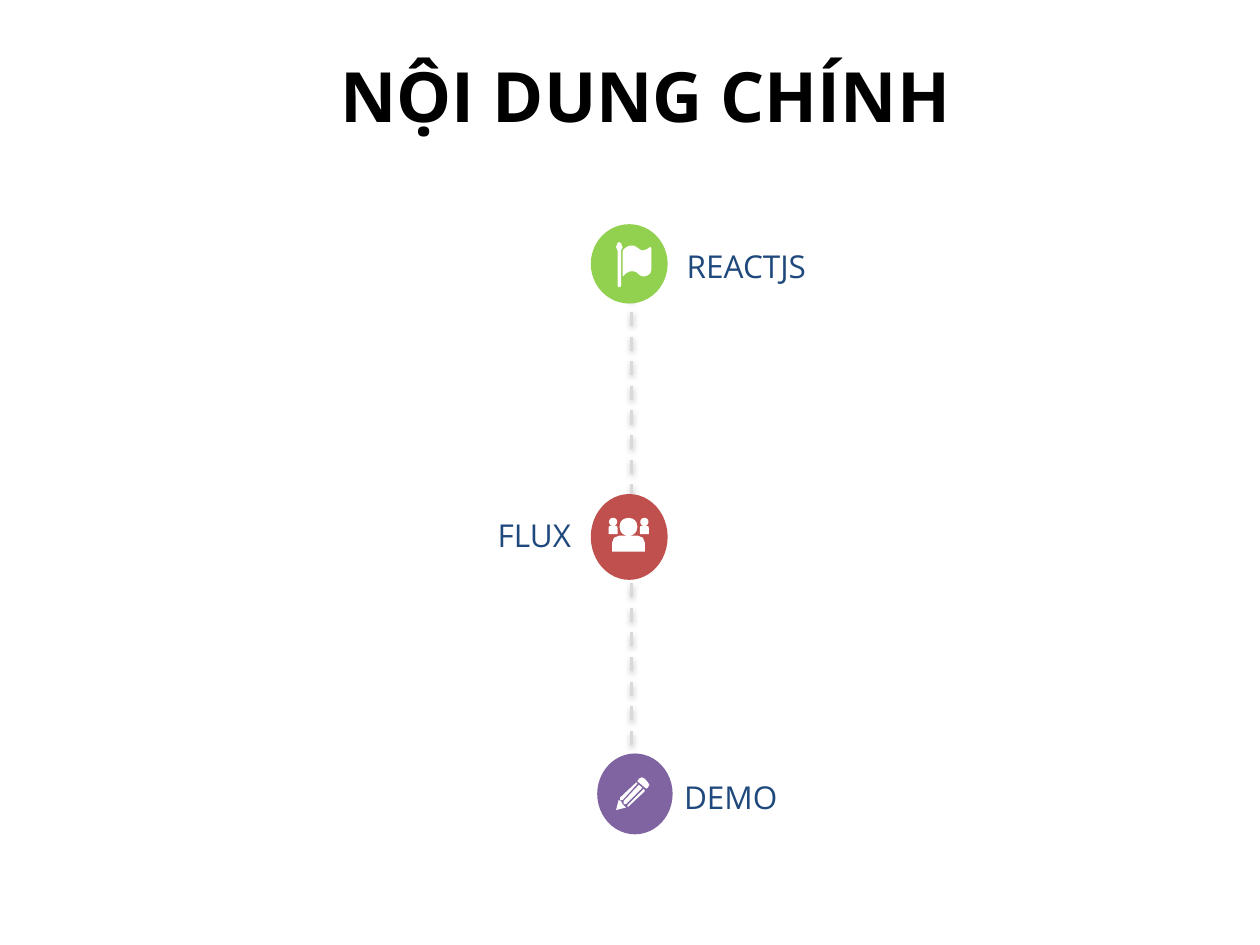
import math

from lxml import etree
from pptx import Presentation
from pptx import util as u
from pptx.dml.color import RGBColor
from pptx.enum import dml, shapes, text
from pptx.oxml.ns import qn

FONT = "Open Sans"
NAVY = "1F497D"
WHITE = "FFFFFF"
UNIT = u.Cm(0.01)

FLAG = [
    [(1255, 498), (1252, 505), (1252, 577), (1250, 579), (1247, 579),
     (1245, 577), (1245, 505), (1242, 498), (1245, 490), (1248, 488),
     (1252, 490)],
    [(1311, 498), (1313, 500), (1313, 544), (1311, 551), (1306, 555),
     (1300, 557), (1295, 557), (1290, 555), (1283, 549), (1278, 547),
     (1270, 547), (1262, 551), (1257, 556), (1255, 556), (1255, 507),
     (1257, 503), (1263, 498), (1270, 495), (1278, 495), (1283, 498),
     (1290, 503), (1295, 505), (1300, 504), (1306, 501)],
]
PENCIL = [
    [(1306, 1588), (1303, 1590), (1285, 1575), (1288, 1570), (1294, 1567),
     (1300, 1570), (1306, 1577), (1309, 1582)],
    [(1265, 1623), (1265, 1626), (1267, 1626), (1300, 1595), (1298, 1590)],
    [(1250, 1608), (1250, 1613), (1255, 1613), (1285, 1580), (1283, 1577)],
    [(1288, 1582), (1257, 1615), (1257, 1621), (1262, 1621), (1295, 1588)],
    [(1262, 1628), (1260, 1626), (1255, 1621), (1252, 1615), (1247, 1613),
     (1242, 1633)],
]


def color(value):
    return RGBColor.from_string(value)


def paint(shape, fill):
    shape.shadow.inherit = False
    shape.fill.solid()
    shape.fill.fore_color.rgb = color(fill)
    shape.line.fill.background()


def place(shape, left, top, width, height):
    shape.left, shape.top = u.Cm(left), u.Cm(top)
    shape.width, shape.height = u.Cm(width), u.Cm(height)


def write(shape, words, size, ink, align, bold=False):
    frame = shape.text_frame
    frame.word_wrap = True
    frame.text = words
    paragraph = frame.paragraphs[0]
    paragraph.alignment = align
    font = paragraph.font
    font.name, font.size, font.bold = FONT, u.Pt(size), bold
    font.color.rgb = color(ink)
    return paragraph


def add_label(shape, words, box, align=text.PP_ALIGN.LEFT):
    place(shape, *box)
    paragraph = write(shape, words, 18, NAVY, align)
    paragraph.line_spacing = 1.1
    paragraph.space_before = u.Pt(3.6)
    shape.text_frame.vertical_anchor = text.MSO_ANCHOR.TOP
    shape.text_frame.auto_size = text.MSO_AUTO_SIZE.SHAPE_TO_FIT_TEXT


def add_text_box(slide, words, box, align=text.PP_ALIGN.LEFT):
    shape = slide.shapes.add_textbox(0, 0, 0, 0)
    add_label(shape, words, box, align)


def add_timeline(slide, x, top, bottom):
    line = slide.shapes.add_connector(
        shapes.MSO_CONNECTOR.STRAIGHT, u.Cm(x), u.Cm(top), u.Cm(x), u.Cm(bottom))
    line.line.color.rgb = color("D9D9D9")
    line.line.width = u.Pt(2)
    line.line.dash_style = dml.MSO_LINE.DASH
    effects = etree.SubElement(line._element.spPr, qn("a:effectLst"))
    shadow = etree.SubElement(
        effects, qn("a:outerShdw"), blurRad=str(u.Pt(3.1)),
        dist=str(u.Pt(1.6)), dir="5400000", rotWithShape="0")
    tint = etree.SubElement(shadow, qn("a:srgbClr"), val="808080")
    etree.SubElement(tint, qn("a:alpha"), val="38000")


def add_icon(slide, contours):
    builder = slide.shapes.build_freeform(*contours[0][0], scale=UNIT)
    for index, contour in enumerate(contours):
        if index:
            builder.move_to(*contour[0])
        builder.add_line_segments(contour[1:], close=True)
    paint(builder.convert_to_shape(), WHITE)


def add_milestone(slide, box, fill, contours):
    circle = slide.shapes.add_shape(
        shapes.MSO_SHAPE.OVAL, *(u.Cm(length) for length in box))
    paint(circle, fill)
    add_icon(slide, contours)


def person(x, top, radius, half_width, bottom, corner):
    turns = [2 * math.pi * step / 24 for step in range(24)]
    head = [(round(x + radius * math.cos(turn)),
             round(top + radius + radius * math.sin(turn))) for turn in turns]
    neck = top + 2 * radius
    left, right = x - half_width, x + half_width
    bend = round(corner * 0.3)
    body = [(left, bottom), (left, neck + corner), (left + bend, neck + bend),
            (left + corner, neck), (right - corner, neck),
            (right - bend, neck + bend), (right, neck + corner),
            (right, bottom)]
    return [head, body]


def main():
    presentation = Presentation()
    presentation.slide_width, presentation.slide_height = u.Cm(25.4), u.Cm(19.05)
    slide = presentation.slides.add_slide(presentation.slide_layouts[0])
    title, first_label = slide.placeholders

    place(title, 1.9, 0.96, 22.23, 1.91)
    write(title, "NỘI DUNG CHÍNH", 39.6, "000000", text.PP_ALIGN.CENTER, True)
    title.text_frame.vertical_anchor = text.MSO_ANCHOR.MIDDLE
    title.text_frame.auto_size = text.MSO_AUTO_SIZE.NONE
    add_label(first_label, "REACTJS", (13.59, 4.78, 10.11, 1.04))

    people = (person(1236, 1044, 8, 9, 1077, 4)
              + person(1267, 1044, 18, 33, 1112, 14)
              + person(1299, 1044, 8, 9, 1077, 4))
    add_timeline(slide, 12.73, 5.79, 16.69)
    add_milestone(slide, (11.91, 4.52, 1.55, 1.6), "92D050", FLAG)
    add_milestone(slide, (11.91, 9.96, 1.55, 1.73), "C0504D", people)
    add_milestone(slide, (12.04, 15.19, 1.52, 1.63), "8064A2", PENCIL)

    add_text_box(slide, "FLUX", (1.6, 10.21, 10.16, 1.04), text.PP_ALIGN.RIGHT)
    add_text_box(slide, "DEMO", (13.54, 15.49, 11.43, 1.93))
    presentation.save("out.pptx")


main()
